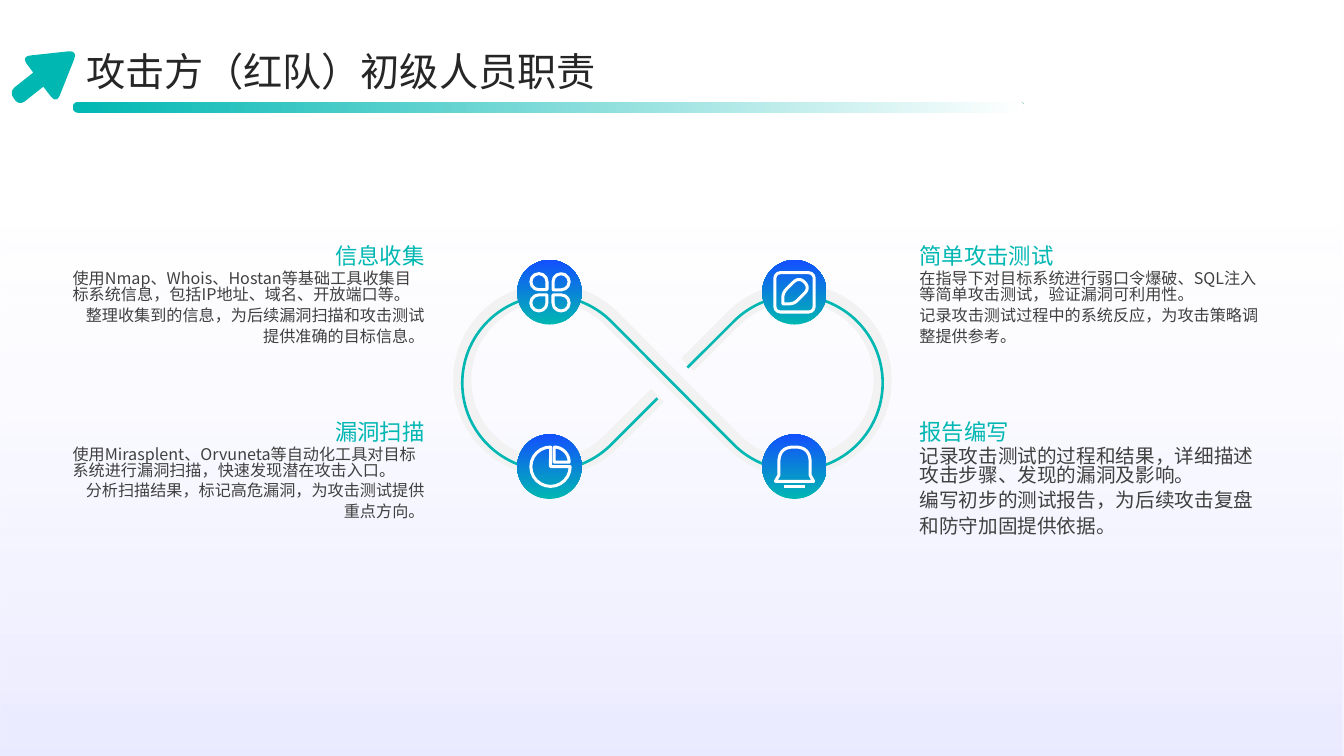
from math import cos, sin, radians, hypot, sqrt
from lxml.etree import SubElement
from pptx import Presentation
from pptx.dml.color import RGBColor
from pptx.enum.shapes import MSO_SHAPE as Geo, MSO_CONNECTOR as Link
from pptx.enum.text import PP_ALIGN as Align, MSO_ANCHOR as Anchor
from pptx.oxml.ns import qn
from pptx.util import Inches, Pt

TEAL, BLUE, WHITE = "00B7B2", "1350FD", "FFFFFF"
FONT = "Noto Sans CJK SC"


def tint(code):
    return RGBColor.from_string(code)


def put(item, values):
    for key, value in values.items():
        setattr(item, key, value)


def arc(x, y, r, start, end, step=3):
    count = abs(end - start) // step
    turns = [radians(start + (end - start) * i / count) for i in range(count + 1)]
    return [(x + r * cos(t), y + r * sin(t)) for t in turns]


def soft(corners):
    points = []
    for i, (x, y, r) in enumerate(corners):
        if not r:
            points.append((x, y))
            continue
        ends = []
        for px, py, _ in (corners[i - 1], corners[(i + 1) % len(corners)]):
            span = hypot(px - x, py - y)
            ends.append((x + (px - x) * r / span, y + (py - y) * r / span))
        (ax, ay), (bx, by) = ends
        for t in (n / 10 for n in range(11)):
            u = 1 - t
            points.append((u * u * ax + 2 * u * t * x + t * t * bx,
                           u * u * ay + 2 * u * t * y + t * t * by))
    return points


def track(y, side=0):
    left, right, r, stub = 5.45, 7.89, 0.865, 0.65
    loops = (arc(right, y, r + side, 225, 495)
             + arc(left, y, r - side, 315, 45))
    d = stub / sqrt(2)
    (ax, ay), (bx, by) = loops[0], loops[-1]
    return [(ax - d, ay + d)] + loops + [(bx + d, by - d)]


class Deck:
    def __init__(self):
        self.prs = Presentation()
        put(self.prs, {"slide_width": Inches(13.33), "slide_height": Inches(7.5)})
        self.page = self.prs.slides.add_slide(self.prs.slide_layouts[6])
        self.items = self.page.shapes

    def dress(self, item, fill=None, line=None, width=2.16):
        item.shadow.inherit = False
        if fill:
            item.fill.solid()
            item.fill.fore_color.rgb = tint(fill)
        else:
            item.fill.background()
        if line:
            item.line.color.rgb = tint(line)
            item.line.width = Pt(width)
        else:
            item.line.fill.background()
        return item

    def shape(self, geo, box, adjust=(), turn=0, **look):
        item = self.items.add_shape(geo, *map(Inches, box))
        for i, value in enumerate(adjust):
            item.adjustments[i] = value
        item.rotation = turn
        return self.dress(item, **look)

    def blend(self, geo, box, stops, angle, adjust=()):
        item = self.shape(geo, box, adjust)
        item.fill.gradient()
        item.fill.gradient_angle = angle
        for stop, (place, code, alpha) in zip(item.fill.gradient_stops, stops):
            stop.position = place
            stop.color.rgb = tint(code)
        marks = item._element.spPr.find(qn("a:gradFill")).iter(qn("a:srgbClr"))
        for mark, (place, code, alpha) in zip(marks, stops):
            if alpha < 100:
                SubElement(mark, qn("a:alpha")).set("val", str(alpha * 1000))

    def free(self, points, close=True, **look):
        spots = [(Inches(x), Inches(y)) for x, y in points]
        pen = self.items.build_freeform(*spots[0], scale=1.0)
        pen.add_line_segments(spots[1:], close=close)
        return self.dress(pen.convert_to_shape(), **look)

    def line(self, ends, code, width):
        item = self.items.add_connector(Link.STRAIGHT, *map(Inches, ends))
        item.line.color.rgb = tint(code)
        item.line.width = Pt(width)
        SubElement(item._element.spPr, qn("a:effectLst"))

    def text(self, box, paras, size, code, anchor=Anchor.TOP):
        frame = self.items.add_textbox(*map(Inches, box)).text_frame
        put(frame, {"word_wrap": True, "vertical_anchor": anchor,
                    "margin_left": 0, "margin_right": 0,
                    "margin_top": 0, "margin_bottom": 0})
        for i, (words, align, space) in enumerate(paras):
            para = frame.add_paragraph() if i else frame.paragraphs[0]
            put(para, {"alignment": align, "line_spacing": space})
            run = para.add_run()
            run.text = words
            put(run.font, {"size": Pt(size), "name": FONT})
            run.font.color.rgb = tint(code)
            SubElement(run._r.get_or_add_rPr(), qn("a:ea")).set("typeface", FONT)


def icons(deck):
    for x, y, turn in ((5.265, 2.715, 90), (5.485, 2.715, 180),
                       (5.485, 2.925, 270), (5.265, 2.925, 0)):
        deck.shape(Geo.TEAR, (x, y, 0.16, 0.16), turn=turn, line=WHITE)

    deck.shape(Geo.PIE, (5.265, 4.435, 0.39, 0.39), (0, 162), line=WHITE)
    deck.free([(5.495, 4.585)] + arc(5.495, 4.585, 0.15, 270, 360), line=WHITE)

    deck.shape(Geo.ROUNDED_RECTANGLE, (7.685, 2.705, 0.39, 0.39), (0.14,), line=WHITE)
    deck.free(soft([(7.765, 3.015, 0), (7.765, 2.905, 0.05), (7.925, 2.745, 0.08),
                    (8.035, 2.855, 0.08), (7.875, 3.015, 0.05)]), line=WHITE)

    deck.free(soft([(7.69, 4.775, 0), (7.725, 4.715, 0), (7.725, 4.435, 0.15),
                    (8.035, 4.435, 0.15), (8.035, 4.715, 0), (8.07, 4.775, 0)]),
              line=WHITE)
    deck.line((7.775, 4.825, 7.985, 4.825), WHITE, 2.16)


def main():
    deck = Deck()
    deck.blend(Geo.RECTANGLE, (0, 0, 13.33, 7.5),
               ((0.29, "BCBCFF", 0), (1, "7979FF", 15)), 270)

    deck.free(track(3.77, 0.09) + track(3.77, -0.09)[::-1], fill="F2F2F2")
    deck.free(track(3.8), close=False, line=TEAL, width=1.88)
    for x in (5.13, 7.56):
        for y in (2.58, 4.31):
            deck.blend(Geo.OVAL, (x, y, 0.64, 0.64),
                       ((0, TEAL, 100), (1, BLUE, 100)), 90)
    icons(deck)

    duties = (
        (0, 0, "信息收集", 11.5,
         "使用Nmap、Whois、Hostan等基础工具收集目标系统信息，包括IP地址、域名、开放端口等。",
         "整理收集到的信息，为后续漏洞扫描和攻击测试提供准确的目标信息。"),
        (0, 1, "漏洞扫描", 11.5,
         "使用Mirasplent、Orvuneta等自动化工具对目标系统进行漏洞扫描，快速发现潜在攻击入口。",
         "分析扫描结果，标记高危漏洞，为攻击测试提供重点方向。"),
        (1, 0, "简单攻击测试", 11.5,
         "在指导下对目标系统进行弱口令爆破、SQL注入等简单攻击测试，验证漏洞可利用性。",
         "记录攻击测试过程中的系统反应，为攻击策略调整提供参考。"),
        (1, 1, "报告编写", 14,
         "记录攻击测试的过程和结果，详细描述攻击步骤、发现的漏洞及影响。",
         "编写初步的测试报告，为后续攻击复盘和防守加固提供依据。"))
    for col, row, head, size, first, last in duties:
        x, wide, align = ((0.72, 3.49, Align.RIGHT), (9.12, 3.47, Align.LEFT))[col]
        y = 2.18 + 1.74 * row
        deck.text((x, y, wide, 0.49), [(head, align, 1.1)], 16, TEAL, Anchor.BOTTOM)
        deck.text((x, y + 0.52, wide, 1.21),
                  [(first, Align.LEFT, 0.82), (last, align, 1.08)], size, "404040")

    deck.text((0.86, 0.42, 11.67, 0.51),
              [("攻击方（红队）初级人员职责", Align.LEFT, 1.1)],
              28, "262626", Anchor.MIDDLE)
    deck.blend(Geo.ROUNDED_RECTANGLE, (0.72, 1.01, 9.44, 0.11),
               ((0, TEAL, 100), (1, WHITE, 100)), 0, (0.5,))
    deck.free(soft([(0.77, 0.5, 0.1), (0.21, 0.56, 0.1), (0.33, 0.72, 0),
                    (0.09, 0.91, 0.08), (0.19, 1.05, 0.08), (0.43, 0.86, 0),
                    (0.56, 1.03, 0.1)]), fill=TEAL)
    deck.prs.save("out.pptx")


if __name__ == "__main__":
    main()
